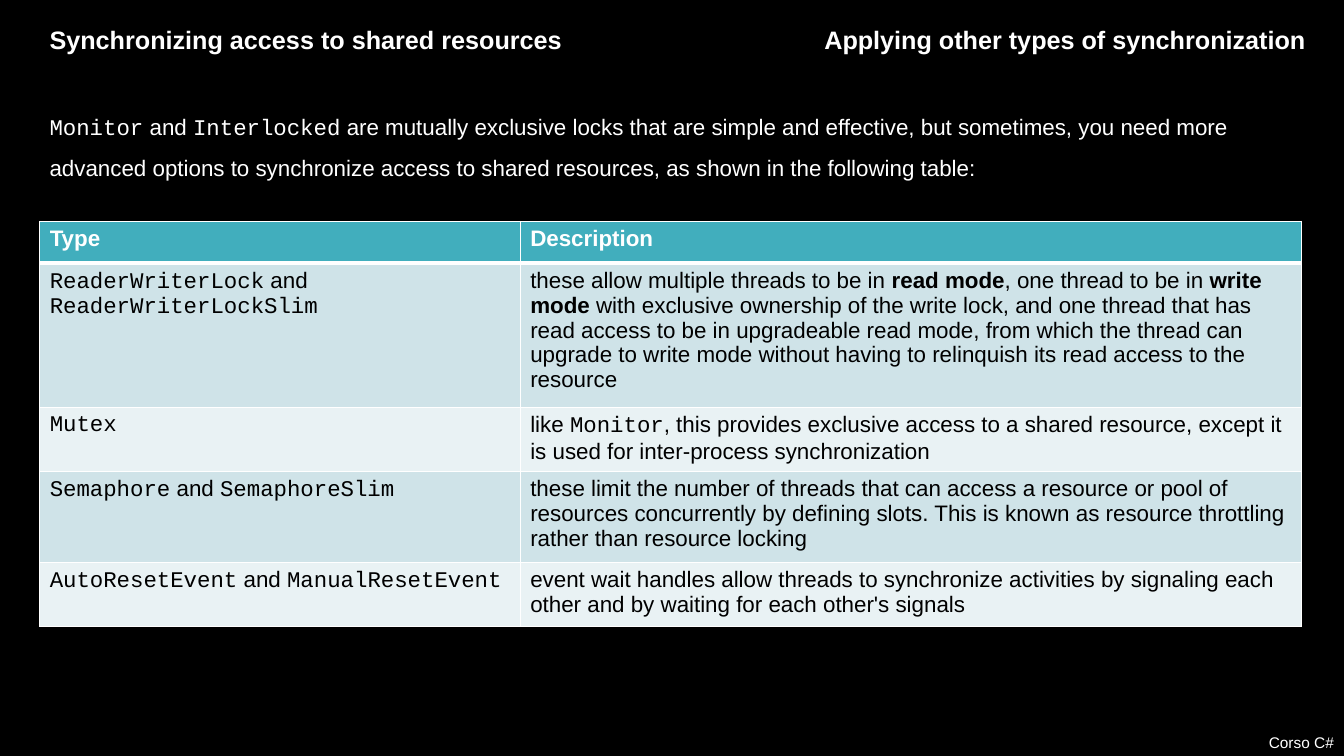
from dataclasses import dataclass

from lxml.etree import SubElement
from pptx import Presentation
from pptx.dml.color import RGBColor
from pptx.enum.text import PP_ALIGN
from pptx.oxml.ns import qn
from pptx.util import Cm, Pt


@dataclass(frozen=True)
class Theme:
    background: str = "000000"
    light: str = "FFFFFF"
    dark: str = "000000"
    header: str = "41AEBD"
    bands: tuple = ("CFE3E8", "E9F2F4")
    plain: str = "Arial"
    code: str = "Courier New"
    title_size: int = 18
    body_size: int = 16
    footer_size: int = 11


THEME = Theme()
PLAIN, BOLD, CODE = (THEME.plain, False), (THEME.plain, True), (THEME.code, False)


def write_runs(paragraph, pieces, size, color):
    for text, (font_name, bold) in pieces:
        run = paragraph.add_run()
        run.text = text
        run.font.name = font_name
        run.font.bold = bold
        run.font.size = Pt(size)
        run.font.color.rgb = RGBColor.from_string(color)


def draw_border(cell, side, width):
    line = SubElement(cell._tc.get_or_add_tcPr(), qn(f"a:ln{side}"), w=str(Pt(width)))
    SubElement(SubElement(line, qn("a:solidFill")), qn("a:srgbClr"), val=THEME.light)


deck = Presentation()
deck.slide_width, deck.slide_height = Cm(33.87), Cm(19.05)
slide = deck.slides.add_slide(deck.slide_layouts[6])
slide.background.fill.solid()
slide.background.fill.fore_color.rgb = RGBColor.from_string(THEME.background)

introduction = [
    ("Monitor", CODE),
    (" and ", PLAIN),
    ("Interlocked", CODE),
    (" are mutually exclusive locks that are simple and effective, but sometimes, "
     "you need more advanced options to synchronize access to shared resources, "
     "as shown in the following table:", PLAIN),
]
texts = [
    ((0, 18.34, 33.87, 0.73), [("Corso C#", PLAIN)],
     THEME.footer_size, PP_ALIGN.RIGHT, True, 1),
    ((1, 0.5, 13.54, 1.03), [("Synchronizing access to shared resources", BOLD)],
     THEME.title_size, PP_ALIGN.LEFT, False, 1),
    ((14.86, 0.5, 18.3, 1.03), [("Applying other types of synchronization", BOLD)],
     THEME.title_size, PP_ALIGN.RIGHT, True, 1),
    ((1, 2.4, 31.8, 2.18), introduction,
     THEME.body_size, PP_ALIGN.LEFT, True, 1.5),
]
for place, pieces, size, alignment, wraps, spacing in texts:
    frame = slide.shapes.add_textbox(*map(Cm, place)).text_frame
    frame.word_wrap = wraps
    paragraph = frame.paragraphs[0]
    paragraph.alignment = alignment
    paragraph.line_spacing = spacing
    write_runs(paragraph, pieces, size, THEME.light)

lock_types = [
    (1.05, [("Type", BOLD)], [("Description", BOLD)]),
    (3.63,
     [("ReaderWriterLock", CODE), (" and ", PLAIN), ("ReaderWriterLockSlim", CODE)],
     [("these allow multiple threads to be in ", PLAIN),
      ("read mode", BOLD),
      (", one thread to be in ", PLAIN),
      ("write mode ", BOLD),
      ("with exclusive ownership of the write lock, and one thread that has read access "
       "to be in upgradeable read mode, from which the thread can upgrade to write mode "
       "without having to relinquish its read access to the resource", PLAIN)]),
    (1.61,
     [("Mutex", CODE)],
     [("like ", PLAIN),
      ("Monitor", CODE),
      (", this provides exclusive access to a shared resource, except it is used for "
       "inter-process synchronization", PLAIN)]),
    (2.28,
     [("Semaphore", CODE), (" and ", PLAIN), ("SemaphoreSlim", CODE)],
     [("these limit the number of threads that can access a resource or pool of resources "
       "concurrently by defining slots. This is known as resource throttling rather than "
       "resource locking", PLAIN)]),
    (1.63,
     [("AutoResetEvent", CODE), (" and ", PLAIN), ("ManualResetEvent", CODE)],
     [("event wait handles allow threads to synchronize activities by signaling each other "
       "and by waiting for each other's signals", PLAIN)]),
]
column_widths = (12.11, 19.69)
table_height = sum(height for height, *_ in lock_types)
table = slide.shapes.add_table(
    len(lock_types), len(column_widths),
    Cm(1), Cm(5.58), Cm(sum(column_widths)), Cm(table_height),
).table
for column, width in zip(table.columns, column_widths):
    column.width = Cm(width)

for row, (height, *entries) in enumerate(lock_types):
    table.rows[row].height = Cm(height)
    is_header = row == 0
    fill_color = THEME.header if is_header else THEME.bands[(row - 1) % 2]
    text_color = THEME.light if is_header else THEME.dark
    for column, pieces in enumerate(entries):
        cell = table.cell(row, column)
        write_runs(cell.text_frame.paragraphs[0], pieces, THEME.body_size, text_color)
        for side in "LRTB":
            under_header = (row, side) in ((0, "B"), (1, "T"))
            draw_border(cell, side, 3 if under_header else 1)
        cell.fill.solid()
        cell.fill.fore_color.rgb = RGBColor.from_string(fill_color)

deck.save("out.pptx")
